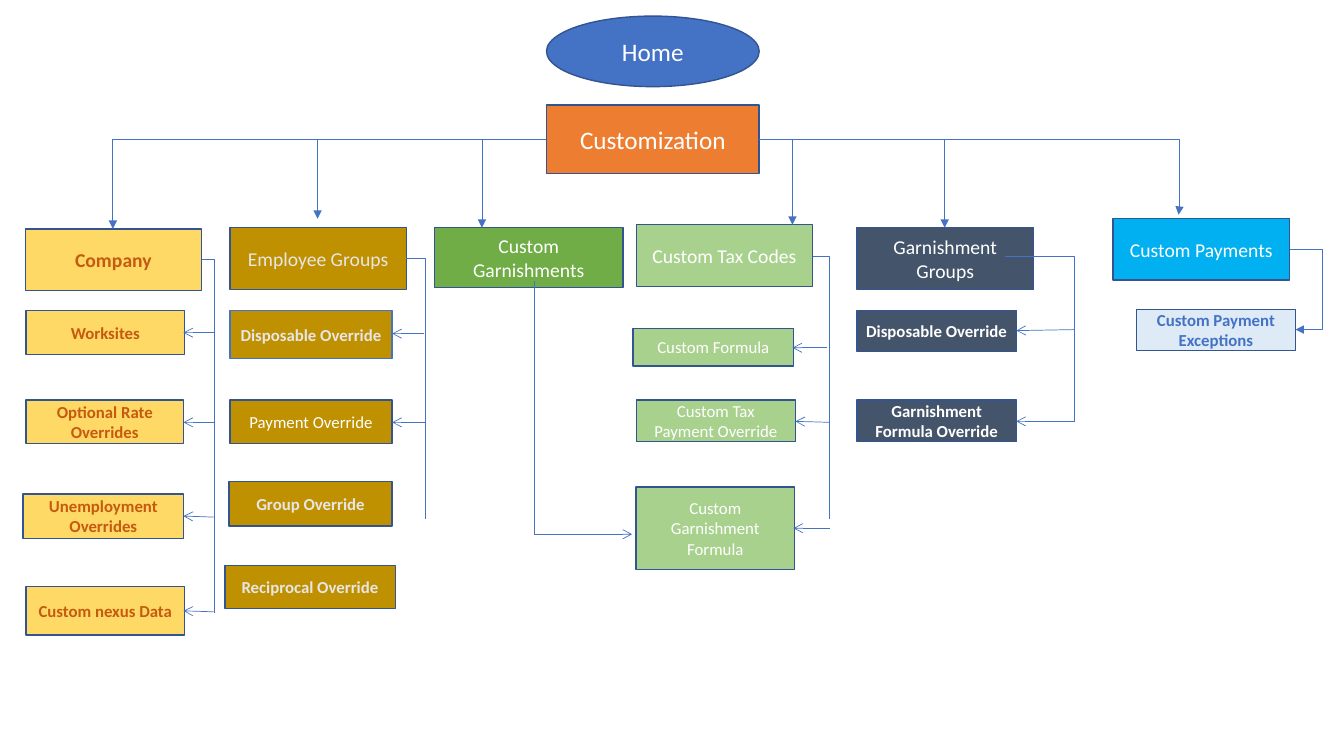
from dataclasses import dataclass

from lxml.etree import SubElement
from pptx import Presentation
from pptx.dml.color import RGBColor
from pptx.enum.shapes import MSO_CONNECTOR as Connector, MSO_SHAPE as Shape
from pptx.enum.text import MSO_ANCHOR as Anchor, PP_ALIGN as Align
from pptx.oxml.ns import qn
from pptx.util import Inches, Pt


@dataclass(frozen=True)
class Theme:
    font: str = "Calibri"
    title: int = 18
    heading: int = 14
    item: int = 12
    border: float = 1
    wire: float = 0.5
    blue: str = "4472C4"
    navy: str = "325491"
    white: str = "FFFFFF"
    orange: str = "ED7D31"
    rust: str = "C55A11"
    yellow: str = "FFD966"
    gold: str = "BF9000"
    silver: str = "E7E6E6"
    green: str = "70AD47"
    sage: str = "A9D18E"
    slate: str = "44546A"
    sky: str = "00B0F0"
    ice: str = "DEEBF7"


theme = Theme()
presentation = Presentation()
presentation.slide_width = Inches(13.33)
presentation.slide_height = Inches(7.5)
slide = presentation.slides.add_slide(presentation.slide_layouts[6])


def add_box(text, bounds, fill, color, size, bold=False, kind=Shape.RECTANGLE, border=theme.navy):
    shape = slide.shapes.add_shape(kind, *map(Inches, bounds))
    shape.shadow.inherit = False
    shape.fill.solid()
    shape.fill.fore_color.rgb = RGBColor.from_string(fill)
    shape.line.color.rgb = RGBColor.from_string(border)
    shape.line.width = Pt(theme.border)
    frame = shape.text_frame
    frame.word_wrap = True
    frame.vertical_anchor = Anchor.MIDDLE
    frame.margin_left = frame.margin_right = Inches(0.09)
    paragraph = frame.paragraphs[0]
    paragraph.text = text
    paragraph.alignment = Align.CENTER
    paragraph.font.name = theme.font
    paragraph.font.size = Pt(size)
    paragraph.font.bold = bold
    paragraph.font.color.rgb = RGBColor.from_string(color)


def add_wire(start, end, head=None, preset=None, bend=None, rotation=0):
    kind = Connector.ELBOW if preset else Connector.STRAIGHT
    connector = slide.shapes.add_connector(kind, *map(Inches, start + end))
    connector.line.color.rgb = RGBColor.from_string(theme.blue)
    connector.line.width = Pt(theme.wire)
    properties = connector._element.spPr
    if preset:
        geometry = properties.find(qn("a:prstGeom"))
        geometry.set("prst", preset)
        if bend:
            guides = geometry.find(qn("a:avLst"))
            if guides is None:
                guides = SubElement(geometry, qn("a:avLst"))
            SubElement(guides, qn("a:gd"), name="adj1", fmla=f"val {bend}")
    if rotation:
        properties.find(qn("a:xfrm")).set("rot", str(rotation * 60000))
    if head:
        SubElement(connector.line._get_or_add_ln(), qn("a:tailEnd"), type=head)
    SubElement(properties, qn("a:effectLst"))


add_box("Home", (5.42, 0.16, 2.11, 0.7), theme.blue, theme.white, theme.title, kind=Shape.OVAL)
add_box("Customization", (5.42, 1.04, 2.11, 0.68), theme.orange, theme.white, theme.title)

headings = [
    ("Company", (0.25, 2.27, 1.75, 0.61), theme.yellow, theme.rust, True),
    ("Employee Groups", (2.28, 2.26, 1.75, 0.61), theme.gold, theme.silver, False),
    ("Custom Garnishments", (4.31, 2.26, 1.87, 0.59), theme.green, theme.white, False),
    ("Custom Tax Codes", (6.31, 2.23, 1.75, 0.61), theme.sage, theme.white, False),
    ("Garnishment Groups", (8.5, 2.26, 1.75, 0.61), theme.slate, theme.white, False),
    ("Custom Payments", (11.04, 2.17, 1.75, 0.61), theme.sky, theme.white, False),
]
for text, bounds, fill, color, bold in headings:
    add_box(text, bounds, fill, color, theme.heading, bold)

item_groups = [
    (theme.yellow, theme.rust, True, theme.navy, [
        ("Worksites", (0.26, 3.08, 1.57, 0.44)),
        ("Optional Rate Overrides", (0.26, 3.97, 1.56, 0.43)),
        ("Unemployment Overrides", (0.23, 4.9, 1.59, 0.44)),
        ("Custom nexus Data", (0.26, 5.82, 1.57, 0.48)),
    ]),
    (theme.gold, theme.silver, True, theme.blue, [
        ("Disposable Override", (2.28, 3.08, 1.61, 0.48)),
    ]),
    (theme.gold, theme.white, False, theme.navy, [
        ("Payment Override", (2.28, 3.97, 1.61, 0.43)),
    ]),
    (theme.gold, theme.silver, True, theme.navy, [
        ("Group Override", (2.27, 4.78, 1.62, 0.44)),
        ("Reciprocal Override", (2.23, 5.61, 1.69, 0.43)),
    ]),
    (theme.sage, theme.white, False, theme.navy, [
        ("Custom Formula", (6.28, 3.26, 1.59, 0.37)),
        ("Custom Tax Payment Override", (6.31, 3.97, 1.58, 0.41)),
        ("Custom Garnishment Formula", (6.31, 4.83, 1.57, 0.82)),
    ]),
    (theme.slate, theme.white, True, theme.navy, [
        ("Disposable Override", (8.5, 3.08, 1.58, 0.41)),
        ("Garnishment Formula Override", (8.5, 3.97, 1.58, 0.41)),
    ]),
    (theme.ice, theme.blue, True, theme.navy, [
        ("Custom Payment Exceptions", (11.27, 3.07, 1.58, 0.41)),
    ]),
]
for fill, color, bold, border, items in item_groups:
    for text, bounds in items:
        add_box(text, bounds, fill, color, theme.item, bold, border=border)

trunks = [
    ((2, 2.57), (2.13, 6.08)),
    ((4.03, 2.56), (4.22, 5.15)),
    ((8.06, 2.54), (8.23, 5.15)),
    ((9.97, 2.54), (10.66, 4.19)),
]
for start, end in trunks:
    add_wire(start, end, preset="bentConnector2")

branches = [
    ((2.12, 3.3), (1.82, 3.3)),
    ((2.12, 4.19), (1.82, 4.19)),
    ((2.12, 5.13), (1.82, 5.12)),
    ((2.12, 6.07), (1.82, 6.06)),
    ((4.21, 3.31), (3.89, 3.31)),
    ((4.22, 4.19), (3.89, 4.19)),
    ((8.2, 3.45), (7.86, 3.45)),
    ((8.23, 4.19), (7.89, 4.18)),
    ((8.23, 5.24), (7.87, 5.24)),
    ((10.66, 3.27), (10.08, 3.28)),
    ((10.66, 4.18), (10.08, 4.18)),
]
for start, end in branches:
    add_wire(start, end, "arrow")

bus_y = 1.38
for x, bottom in [(3.15, 2.17), (4.78, 2.26), (7.86, 2.23), (9.37, 2.26)]:
    add_wire((x, bus_y), (x, bottom), "triangle")

add_wire((5.42, bus_y), (1.12, 2.27), "triangle", "bentConnector2")
add_wire((7.53, bus_y), (11.69, 2.13), "triangle", "bentConnector3", 100200)
add_wire((12.79, 2.47), (12.85, 3.27), "triangle", "bentConnector3", 551300)
add_wire((7.04, 3.56), (4.53, 4.53), "arrow", "bentConnector2", rotation=270)

presentation.save("out.pptx")
